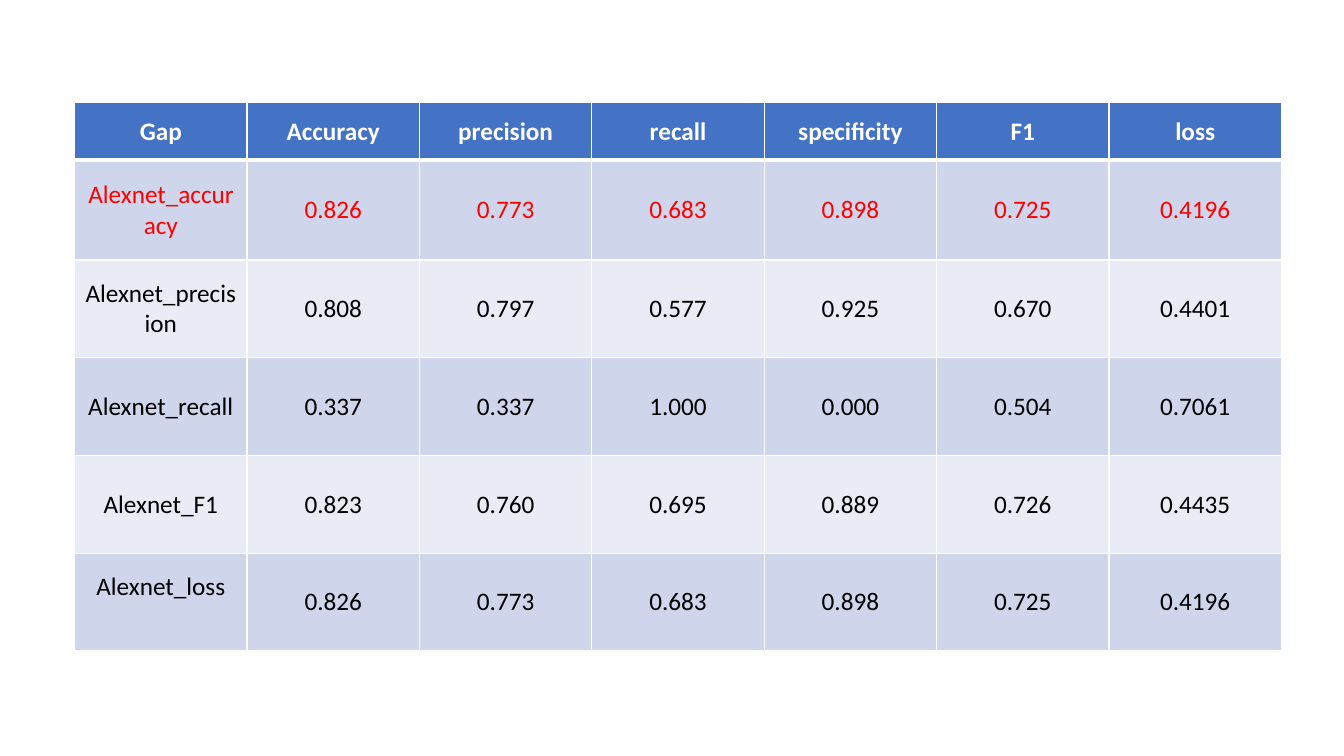
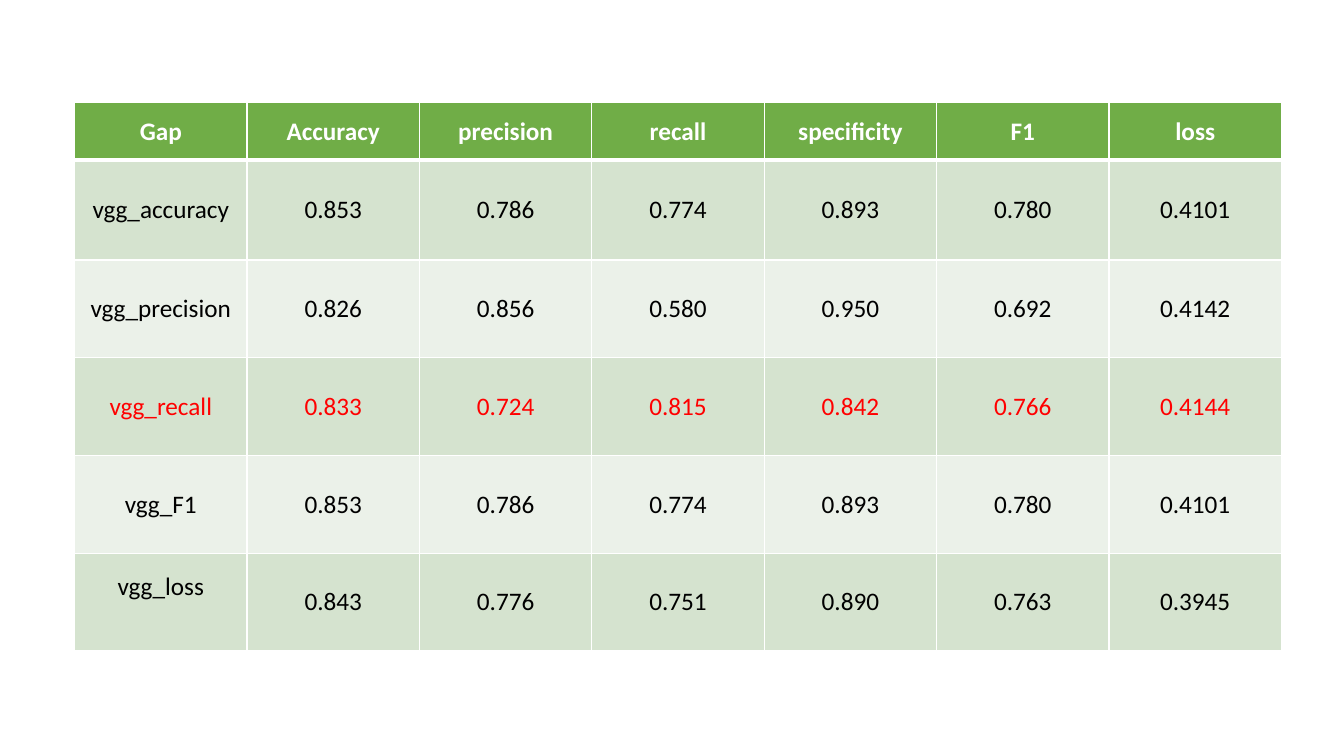
"""Build two slides with tables of metric scores per network."""
from lxml import etree
from pptx import Presentation
from pptx import util as u
from pptx.dml.color import RGBColor
from pptx.enum import text
from pptx.oxml.ns import qn

COLORS = {"white": "FFFFFF", "black": "000000", "red": "FF0000"}
BLUE = {"header": "4472C4", "bands": ("CFD5EA", "E9EBF5")}
GREEN = {"header": "70AD47", "bands": ("D5E3CF", "EBF1E9")}
FONT, SIZE = "Calibri", 18
LEFT, TOP, COL_WIDTH = 0.74, 1.02, 1.71
ROW_HEIGHTS = (0.57, 0.99, 0.97, 0.97, 0.97, 0.97)
HEADERS = ("Gap", "Accuracy", "precision", "recall", "specificity", "F1", "loss")

ALEXNET = (
    ("Alexnet_accuracy", "0.826", "0.773", "0.683", "0.898", "0.725", "0.4196"),
    ("Alexnet_precision", "0.808", "0.797", "0.577", "0.925", "0.670", "0.4401"),
    ("Alexnet_recall", "0.337", "0.337", "1.000", "0.000", "0.504", "0.7061"),
    ("Alexnet_F1", "0.823", "0.760", "0.695", "0.889", "0.726", "0.4435"),
    ("Alexnet_loss", "0.826", "0.773", "0.683", "0.898", "0.725", "0.4196"),
)
VGG = (
    ("vgg_accuracy", "0.853", "0.786", "0.774", "0.893", "0.780", "0.4101"),
    ("vgg_precision", "0.826", "0.856", "0.580", "0.950", "0.692", "0.4142"),
    ("vgg_recall", "0.833", "0.724", "0.815", "0.842", "0.766", "0.4144"),
    ("vgg_F1", "0.853", "0.786", "0.774", "0.893", "0.780", "0.4101"),
    ("vgg_loss", "0.843", "0.776", "0.751", "0.890", "0.763", "0.3945"),
)


def set_borders(cell, top, bottom):
    """Draw white borders, with the top and bottom widths in points."""
    tcPr = cell._tc.get_or_add_tcPr()
    for side, width in (("L", 1), ("R", 1), ("T", top), ("B", bottom)):
        ln = etree.SubElement(tcPr, qn(f"a:ln{side}"), w=str(u.Pt(width)))
        fill = etree.SubElement(ln, qn("a:solidFill"))
        etree.SubElement(fill, qn("a:srgbClr"), val=COLORS["white"])


def fill_cell(cell, label, fill, color, bold=False):
    """Write centred text on a solid fill."""
    cell.fill.solid()
    cell.fill.fore_color.rgb = RGBColor.from_string(fill)
    cell.vertical_anchor = text.MSO_ANCHOR.MIDDLE
    tf = cell.text_frame
    tf.text = label
    p = tf.paragraphs[0]
    p.alignment = text.PP_ALIGN.CENTER
    font = p.runs[0].font
    font.name, font.size, font.bold = FONT, u.Pt(SIZE), bold
    font.color.rgb = RGBColor.from_string(color)


def add_score_table(s, scores, theme, best_row):
    """Add a table of scores with its best row in red."""
    rows = (HEADERS, *scores)
    tbl = s.shapes.add_table(
        len(rows), len(HEADERS), u.Inches(LEFT), u.Inches(TOP),
        u.Inches(COL_WIDTH * len(HEADERS)), u.Inches(sum(ROW_HEIGHTS))).table
    tbl.first_row = tbl.horz_banding = False
    for col in tbl.columns:
        col.width = u.Inches(COL_WIDTH)
    for i, (row, height) in enumerate(zip(rows, ROW_HEIGHTS)):
        tbl.rows[i].height = u.Inches(height)
        header = i == 0
        fill = theme["header"] if header else theme["bands"][(i - 1) % 2]
        color = "white" if header else "red" if i == best_row else "black"
        for j, label in enumerate(row):
            cell = tbl.cell(i, j)
            set_borders(cell, 3 if i == 1 else 1, 3 if header else 1)
            fill_cell(cell, label, fill, COLORS[color], header)
    tbl.cell(len(rows) - 1, 0).margin_bottom = u.Inches(0.35)


def main():
    """Build and save the presentation."""
    prs = Presentation()
    prs.slide_width, prs.slide_height = u.Inches(13.33), u.Inches(7.5)
    for scores, theme, best_row in ((ALEXNET, BLUE, 1), (VGG, GREEN, 3)):
        s = prs.slides.add_slide(prs.slide_layouts[6])
        add_score_table(s, scores, theme, best_row)
    prs.save("out.pptx")


if __name__ == "__main__":
    main()
